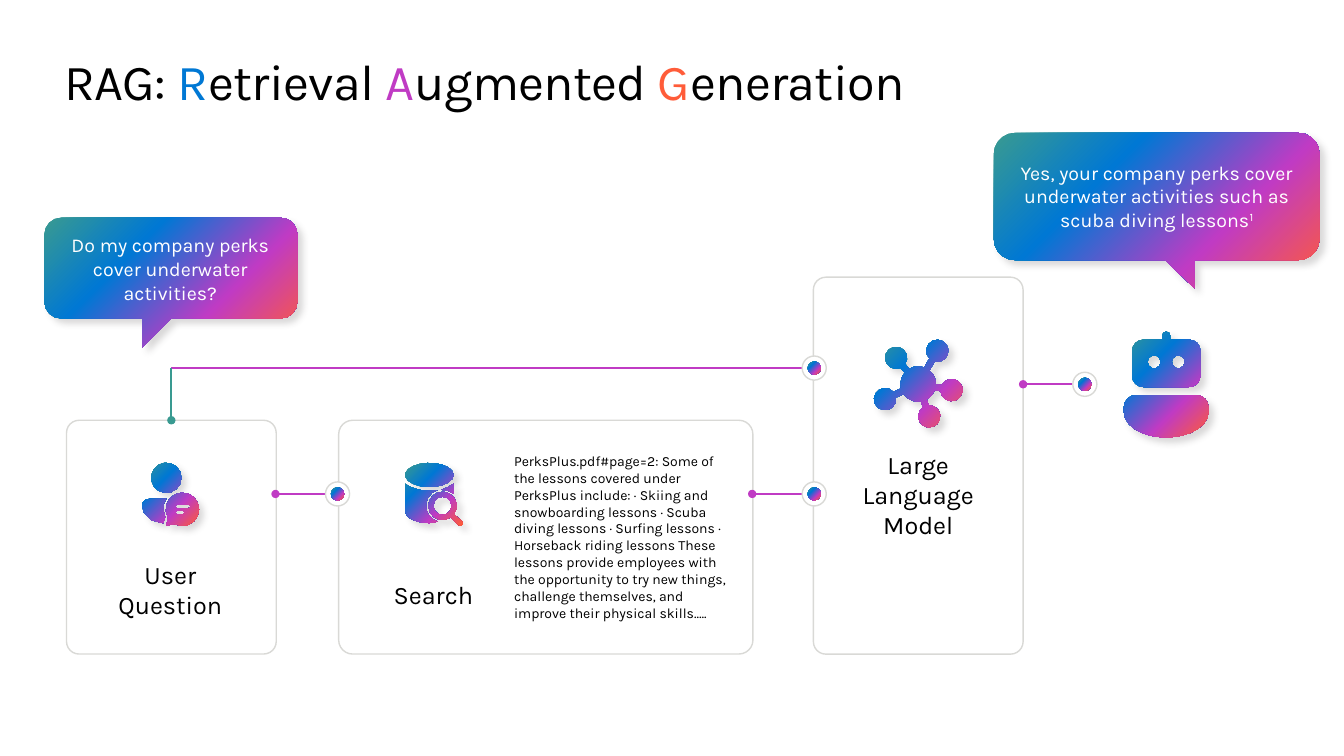
from math import asin, atan2, ceil, cos, degrees, radians, sin, sqrt

from pptx import Presentation
from pptx.dml.color import RGBColor
from pptx.enum.shapes import MSO_CONNECTOR, MSO_SHAPE
from pptx.enum.text import MSO_ANCHOR, PP_ALIGN
from pptx.oxml import parse_xml
from pptx.oxml.ns import qn
from pptx.util import Pt

STRAIGHT = MSO_CONNECTOR.STRAIGHT
ROUND_RECT, OVAL = MSO_SHAPE.ROUNDED_RECTANGLE, MSO_SHAPE.OVAL
CENTER, LEFT = PP_ALIGN.CENTER, PP_ALIGN.LEFT
MIDDLE, TOP = MSO_ANCHOR.MIDDLE, MSO_ANCHOR.TOP
NS = 'xmlns:a="http://schemas.openxmlformats.org/drawingml/2006/main"'
FONT = "Karla"
C = {"black": "000000", "white": "FFFFFF", "border": "D9D9D6", "blue": "0078D4",
     "purple": "C03BC4", "orange": "FF5C39", "teal": "399A91", "shadow": "454142"}
GRADIENT = [(0, "orange"), (32, "purple"), (68, "blue"), (100, "teal")]

# Content: texts are lists of paragraphs, paragraphs are lists of (text, colour)
TITLE = [[("RAG: ", "black"), ("R", "blue"), ("etrieval ", "black"), ("A", "purple"),
          ("ugmented ", "black"), ("G", "orange"), ("eneration", "black")]]
PASSAGE = ("PerksPlus.pdf#page=2: Some of the lessons covered under PerksPlus include: "
           "· Skiing and snowboarding lessons · Scuba diving lessons · Surfing lessons "
           "· Horseback riding lessons These lessons provide employees with the opportunity "
           "to try new things, challenge themselves, and improve their physical skills.….")
QUESTION = [[("Do my company perks cover underwater activities?", "white")]]
ANSWER = [[("Yes, your company perks cover underwater activities such as "
            "scuba diving lessons", "white"), ("1", "white")]]
# left, top, width, height
CARDS = [(47.5, 300.2, 149.8, 167), (241.9, 300.2, 295.9, 167), (581, 198, 149.8, 269.3)]
LABELS = [(["User", "Question"], 71.3, 391), (["Search"], 259.2, 394.6),
          (["Large Language Model"], 605.5, 323.3)]
# box, corner radius, tail points, text box, text
BUBBLES = [
    ((31.7, 155.5, 180.7, 72), 12, [(122.4, 227.5), (101.5, 248.4), (101.5, 227.5)],
     (32.4, 164.9, 178.6, 54), QUESTION),
    ((709.9, 95, 232.6, 90.8), 15, [(853.2, 185.8), (853.2, 205.9), (832.3, 185.8)],
     (718.6, 110.9, 215.3, 58.3), ANSWER),
]
# from x, to x, y, round start
LINKS = [(196.8, 241.4, 352.8, True), (537.3, 581.9, 352.8, True),
         (730.8, 775.2, 274.5, True), (122.4, 581.9, 262.9, False)]
# hub and nodes of the model: x, y, radius
HUB = (655.9, 274.3, 12.6)
NODES = [(679.7, 278.6, 7.9), (663.8, 297.4, 7.9), (632.2, 285.1, 7.9),
         (640.1, 255.6, 7.9), (669.6, 250.6, 7.9)]
SPOKE = 2.2
FLATNESS = 0.25  # largest gap between an arc and its chords

prs = Presentation()
prs.slide_width, prs.slide_height = Pt(960), Pt(540)
s = prs.slides.add_slide(prs.slide_layouts[6])


# Outlines as lists of points; angles run clockwise from the right
def arc(cx, cy, rx, ry, start, end):
    step = degrees(2 * sqrt(2 * FLATNESS / max(rx, ry)))
    n = ceil(abs(end - start) / step)
    angles = [radians(start + (end - start) * i / n) for i in range(n + 1)]
    return [(cx + rx * cos(a), cy + ry * sin(a)) for a in angles]


def circle(cx, cy, r):
    return arc(cx, cy, r, r, 0, 360)


def rounded(x, y, w, h, r, below=(), above=()):
    right, bottom = x + w - r, y + h - r
    return [*arc(right, y + r, r, r, -90, 0), *arc(right, bottom, r, r, 0, 90), *below,
            *arc(x + r, bottom, r, r, 90, 180), *arc(x + r, y + r, r, r, 180, 270), *above]


def network():
    hx, hy, hr = HUB
    half = degrees(asin(SPOKE / hr))
    pts = []
    angles = [degrees(atan2(y - hy, x - hx)) % 360 for x, y, r in NODES]
    for i, (x, y, r) in enumerate(NODES):
        a, nxt = angles[i], angles[(i + 1) % len(NODES)]
        if nxt < a:
            nxt += 360
        gap = degrees(asin(SPOKE / r))
        pts += arc(x, y, r, r, a + 180 + gap, a + 540 - gap)
        pts += arc(hx, hy, hr, hr, a + half, nxt - half)
    return pts


ICONS = {
    "user": [
        circle(118.8, 341.3, 10.8),
        [(118.8, 356.4), *arc(106.6, 361.4, 5.1, 5, 270, 180), (103, 366.5), (108, 371.5),
         (116.6, 373.7), (118.1, 369.4), (116.6, 363.6), (117, 360)],
        [*arc(130.3, 363.8, 11.9, 11.9, 150, 478), (118.8, 375.6)],
        rounded(125.3, 360.7, 10.8, 2.2, 1.1),
        rounded(125.3, 365, 6.5, 2.2, 1.1)],
    "search": [
        arc(306.7, 339.3, 17.3, 8.6, 0, 360),
        [(289.4, 345.6), (293, 347.8), (299.5, 350), (306.7, 350.6),
         *arc(316.1, 361.4, 11.9, 11.9, 252, 108), *arc(306.7, 365, 17.3, 8.7, 90, 180)],
        [(320.4, 347.8), (324, 345.6), (324, 352.8), (320.4, 350.7), (315.4, 349.9)],
        [*arc(316.1, 361.4, 10.1, 10.1, 36, -306), (327.6, 375.1), (329.6, 375.3),
         (330.3, 374.5), (330.1, 372.6)],
        circle(316.1, 361.4, 6.5)],
    "model": [network()],
    "robot": [
        [*arc(854.6, 290.9, 8.6, 8.6, -90, 0), *arc(833, 294.5, 30.2, 18, 0, 180),
         *arc(811.4, 290.9, 8.6, 8.6, 180, 270)],
        rounded(808.6, 242.6, 48.9, 33.9, 8.3,
                above=[(830.1, 242.6), *arc(833, 239.8, 2.9, 2.9, 180, 360), (835.9, 242.6)]),
        circle(824.4, 258.5, 4.7), circle(841.7, 258.5, 4.7)],
}


# Drawing helpers
def rgb(name):
    return RGBColor.from_string(C[name])


def paint_gradient(sp):
    stops = "".join(f'<a:gs pos="{pos * 1000}"><a:srgbClr val="{C[name]}"/></a:gs>'
                    for pos, name in GRADIENT)
    sp.fill.background()
    sp.line.fill.background()
    sp.shadow.inherit = False
    spPr = sp.element.spPr
    spPr.replace(spPr.find(qn("a:noFill")), parse_xml(
        f'<a:gradFill {NS} rotWithShape="1"><a:gsLst>{stops}</a:gsLst><a:path path="circle">'
        '<a:fillToRect l="100000" t="100000"/></a:path></a:gradFill>'))


def gradient_outline(contours):
    first, *rest = [[(Pt(x), Pt(y)) for x, y in c] for c in contours]
    fb = s.shapes.build_freeform(*first[0])
    fb.add_line_segments(first[1:])
    for pts in rest:
        fb.move_to(*pts[0])
        fb.add_line_segments(pts[1:])
    sp = fb.convert_to_shape()
    paint_gradient(sp)
    sp.element.spPr.find(qn("a:effectLst")).append(parse_xml(
        f'<a:outerShdw {NS} blurRad="63500" dist="63500" dir="2700000" algn="tl" '
        f'rotWithShape="0"><a:srgbClr val="{C["shadow"]}"><a:alpha val="20000"/>'
        '</a:srgbClr></a:outerShdw>'))


def white_shape(kind, box):
    sp = s.shapes.add_shape(kind, *map(Pt, box))
    sp.shadow.inherit = False
    sp.fill.solid()
    sp.fill.fore_color.rgb = rgb("white")
    sp.line.color.rgb = rgb("border")
    sp.line.width = Pt(1)
    return sp


def add_text(box, paragraphs, size, align=CENTER, anchor=MIDDLE, inset=True):
    tf = s.shapes.add_textbox(*map(Pt, box)).text_frame
    tf.word_wrap = True
    tf.vertical_anchor = anchor
    if not inset:
        tf.margin_left = tf.margin_right = tf.margin_top = tf.margin_bottom = 0
    for i, runs in enumerate(paragraphs):
        p = tf.add_paragraph() if i else tf.paragraphs[0]
        p.alignment = align
        for text, colour in runs:
            r = p.add_run()
            r.text = text
            r.font.name, r.font.size = FONT, Pt(size)
            r.font.color.rgb = rgb(colour)
    return tf


def add_line(x1, y1, x2, y2, colour, round_start):
    line = s.shapes.add_connector(STRAIGHT, Pt(x1), Pt(y1), Pt(x2), Pt(y2))
    line.line.color.rgb = rgb(colour)
    line.line.width = Pt(1.25)
    spPr = line.element.spPr
    if round_start:
        spPr.find(qn("a:ln")).append(parse_xml(f'<a:headEnd {NS} type="oval"/>'))
    spPr.append(parse_xml(f'<a:effectLst {NS}/>'))
    return line


# Title
tf = add_text((46, 36, 880, 44), TITLE, 36, LEFT, TOP, inset=False)
for r in tf.paragraphs[0].runs:
    r.font._element.set("spc", "-50")

# Cards with labels and the found passage
cards = []
for box in CARDS:
    sp = white_shape(ROUND_RECT, box)
    sp.adjustments[0] = 0.06
    cards.append(sp)
for lines, left, top in LABELS:
    add_text((left, top, 100.8, 59.8), [[(line, "black")] for line in lines], 18)
add_text((367.2, 323.3, 154.8, 121), [[(PASSAGE, "black")]], 10, LEFT, TOP, inset=False)

# Icons
for contours in ICONS.values():
    gradient_outline(contours)

# Speech bubbles
for box, radius, tail, text_box, text in BUBBLES:
    gradient_outline([rounded(*box, radius, below=tail)])
    tf = add_text(text_box, text, 14)
    for footnote in tf.paragraphs[0].runs[1:]:
        footnote.font._element.set("baseline", "30000")

# Links, each ending in a ringed dot
for x1, x2, y, round_start in LINKS:
    add_line(x1, y, x2, y, "purple", round_start)
    white_shape(OVAL, (x2 - 8.9, y - 8.6, 17.2, 17.2))
    paint_gradient(s.shapes.add_shape(OVAL, *map(Pt, (x2 - 5, y - 4.7, 9.4, 9.4))))
riser = add_line(122.4, 300.2, 122.4, 262.9, "teal", True)
riser.begin_connect(cards[0], 0)

prs.save("out.pptx")
